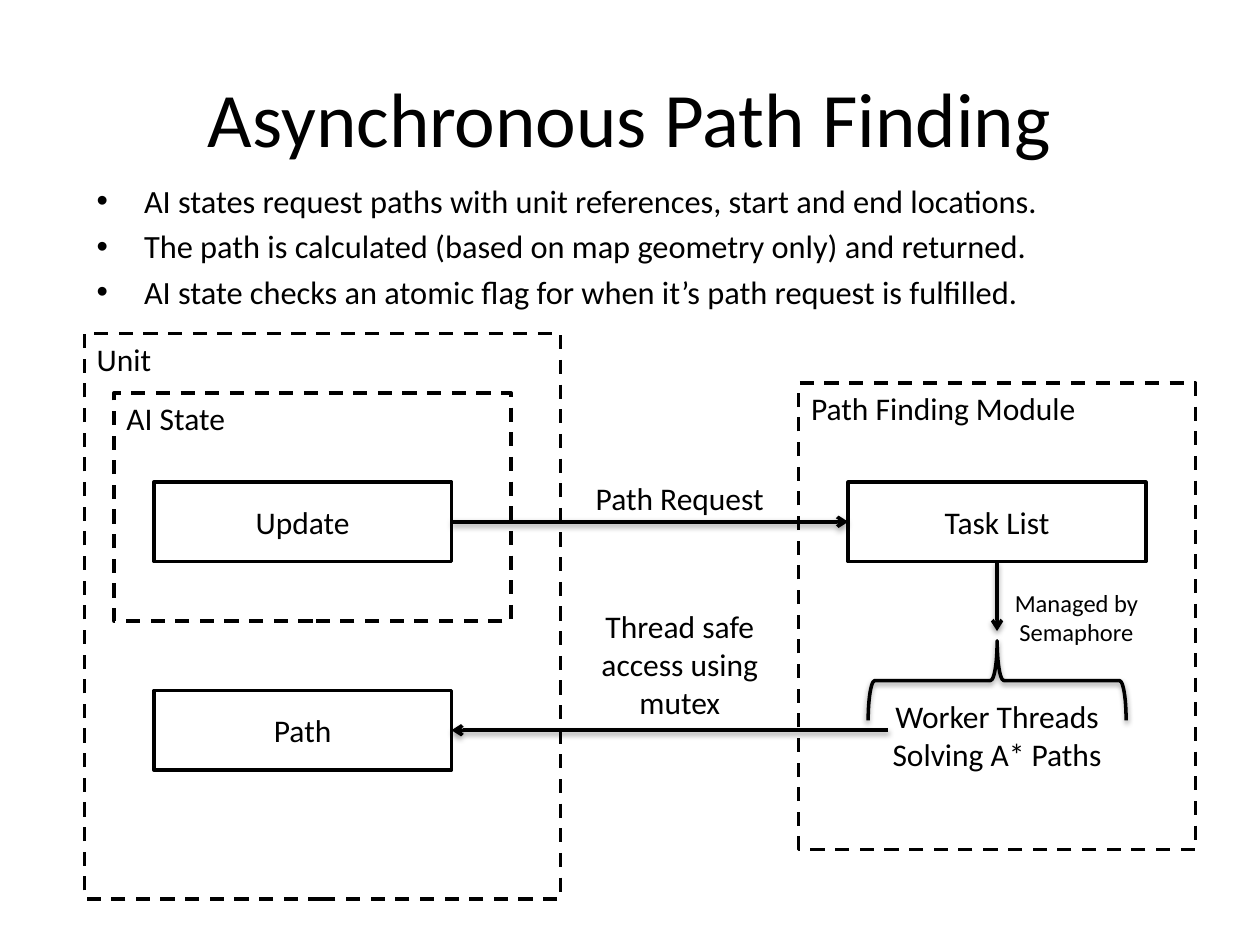
from dataclasses import dataclass

import pptx
import pptx.dml.color
import pptx.enum.dml
import pptx.enum.shapes
import pptx.enum.text
import pptx.oxml
import pptx.oxml.ns
import pptx.util

Pt = pptx.util.Pt
Shape = pptx.enum.shapes.MSO_SHAPE
Align = pptx.enum.text.PP_ALIGN
Anchor = pptx.enum.text.MSO_ANCHOR


@dataclass(frozen=True)
class Theme:
    font: str = "Calibri"
    ink = pptx.dml.color.RGBColor(0, 0, 0)
    paper = pptx.dml.color.RGBColor(255, 255, 255)
    title: float = 44
    bullet: float = 18.5
    label: float = 18
    note: float = 14
    line: float = 2


theme = Theme()
SHADOW = (
    f'<a:effectLst {pptx.oxml.ns.nsdecls("a")}>'
    '<a:outerShdw blurRad="40000" dist="20000" dir="5400000" rotWithShape="0">'
    '<a:srgbClr val="000000"><a:alpha val="38000"/></a:srgbClr>'
    '</a:outerShdw></a:effectLst>'
)
ARROWHEAD = f'<a:tailEnd {pptx.oxml.ns.nsdecls("a")} type="arrow"/>'

presentation = pptx.Presentation()
presentation.slide_width, presentation.slide_height = Pt(720), Pt(540)
slide = presentation.slides.add_slide(presentation.slide_layouts[6])


def write(shape, lines, size, align, anchor=Anchor.TOP):
    """Fill a shape with one paragraph per line, all in the same style."""
    frame = shape.text_frame
    frame.word_wrap = True
    frame.vertical_anchor = anchor
    frame.text = "\n".join(lines)
    for paragraph in frame.paragraphs:
        paragraph.alignment = align
        font = paragraph.runs[0].font
        font.name, font.size = theme.font, Pt(size)
        font.color.rgb = theme.ink


def add_outline(kind, bounds):
    shape = slide.shapes.add_shape(kind, *map(Pt, bounds))
    shape.shadow.inherit = False
    shape.fill.background()
    shape.line.color.rgb = theme.ink
    shape.line.width = Pt(theme.line)
    return shape


# Title and bullets
title = slide.shapes.add_textbox(Pt(36), Pt(21.6), Pt(648), Pt(90))
write(title, ["Asynchronous Path Finding"], theme.title, Align.CENTER, Anchor.MIDDLE)

body = slide.shapes.add_textbox(Pt(48.2), Pt(100), Pt(635), Pt(79.4))
write(body, [
    "AI states request paths with unit references, start and end locations.",
    "The path is calculated (based on map geometry only) and returned.",
    "AI state checks an atomic flag for when it’s path request is fulfilled.",
], theme.bullet, Align.LEFT)
for paragraph in body.text_frame.paragraphs:
    paragraph.space_before = Pt(theme.bullet * 0.2)
    properties = paragraph._p.get_or_add_pPr()
    properties.set("marL", str(Pt(27)))
    properties.set("indent", str(-Pt(27)))
    for bullet in ('<a:buFont {} typeface="Arial"/>', '<a:buChar {} char="•"/>'):
        properties.append(pptx.oxml.parse_xml(bullet.format(pptx.oxml.ns.nsdecls("a"))))

# Dashed containers, each named at its top left
containers = [
    ("Path Finding Module", (456.4, 219, 226.8, 266.4)),
    ("AI State", (65.2, 224.5, 226.8, 130.4)),
    ("Unit", (48.2, 190.5, 272.2, 323.2)),
]
for name, bounds in containers:
    container = add_outline(Shape.RECTANGLE, bounds)
    container.line.dash_style = pptx.enum.dml.MSO_LINE.DASH
    left, top, width, height = bounds
    label = slide.shapes.add_textbox(Pt(left), Pt(top), Pt(width), Pt(29))
    write(label, [name], theme.label, Align.LEFT)

# Solid boxes
BOX_WIDTH, BOX_HEIGHT = 170.1, 45.4
LEFT_COLUMN, RIGHT_COLUMN = 87.9, 484.7
TOP_ROW, BOTTOM_ROW = 275.5, 394.6
boxes = [
    ("Task List", RIGHT_COLUMN, TOP_ROW),
    ("Update", LEFT_COLUMN, TOP_ROW),
    ("Path", LEFT_COLUMN, BOTTOM_ROW),
]
for name, left, top in boxes:
    box = add_outline(Shape.RECTANGLE, (left, top, BOX_WIDTH, BOX_HEIGHT))
    box.fill.solid()
    box.fill.fore_color.rgb = theme.paper
    write(box, [name], theme.label, Align.CENTER, Anchor.MIDDLE)

# Arrows between the boxes, and the brace over the worker threads
box_right = LEFT_COLUMN + BOX_WIDTH
request_y, result_y = TOP_ROW + BOX_HEIGHT / 2, BOTTOM_ROW + BOX_HEIGHT / 2
task_x = RIGHT_COLUMN + BOX_WIDTH / 2
arrows = [
    (task_x, TOP_ROW + BOX_HEIGHT, task_x, 360.6),
    (box_right, request_y, RIGHT_COLUMN, request_y),
    (507.4, result_y, box_right, result_y),
]
for ends in arrows:
    arrow = slide.shapes.add_connector(
        pptx.enum.shapes.MSO_CONNECTOR.STRAIGHT, *map(Pt, ends))
    arrow.line.color.rgb = theme.ink
    arrow.line.width = Pt(theme.line)
    arrow.line._get_or_add_ln().append(pptx.oxml.parse_xml(ARROWHEAD))
    arrow._element.spPr.append(pptx.oxml.parse_xml(SHADOW))

brace = add_outline(Shape.LEFT_BRACE, (547.1, 315.2, BOX_HEIGHT, 147.4))
brace.rotation = 90
properties = brace._element.spPr
properties.remove(properties.find(pptx.oxml.ns.qn("a:effectLst")))
properties.append(pptx.oxml.parse_xml(SHADOW))

# Captions
captions = [
    ("Worker Threads Solving A* Paths", theme.label, (496.1, 394.6, 147.4, 50.9)),
    ("Path Request", theme.label, (320.4, 269.9, 136.1, 29)),
    ("Thread safe access using mutex", theme.label, (320.4, 343.6, 136.1, 72.7)),
    ("Managed by Semaphore", theme.note, (569.8, 332.3, 90.7, 41.2)),
]
for text, size, bounds in captions:
    caption = slide.shapes.add_textbox(*map(Pt, bounds))
    write(caption, [text], size, Align.CENTER)

presentation.save("out.pptx")
